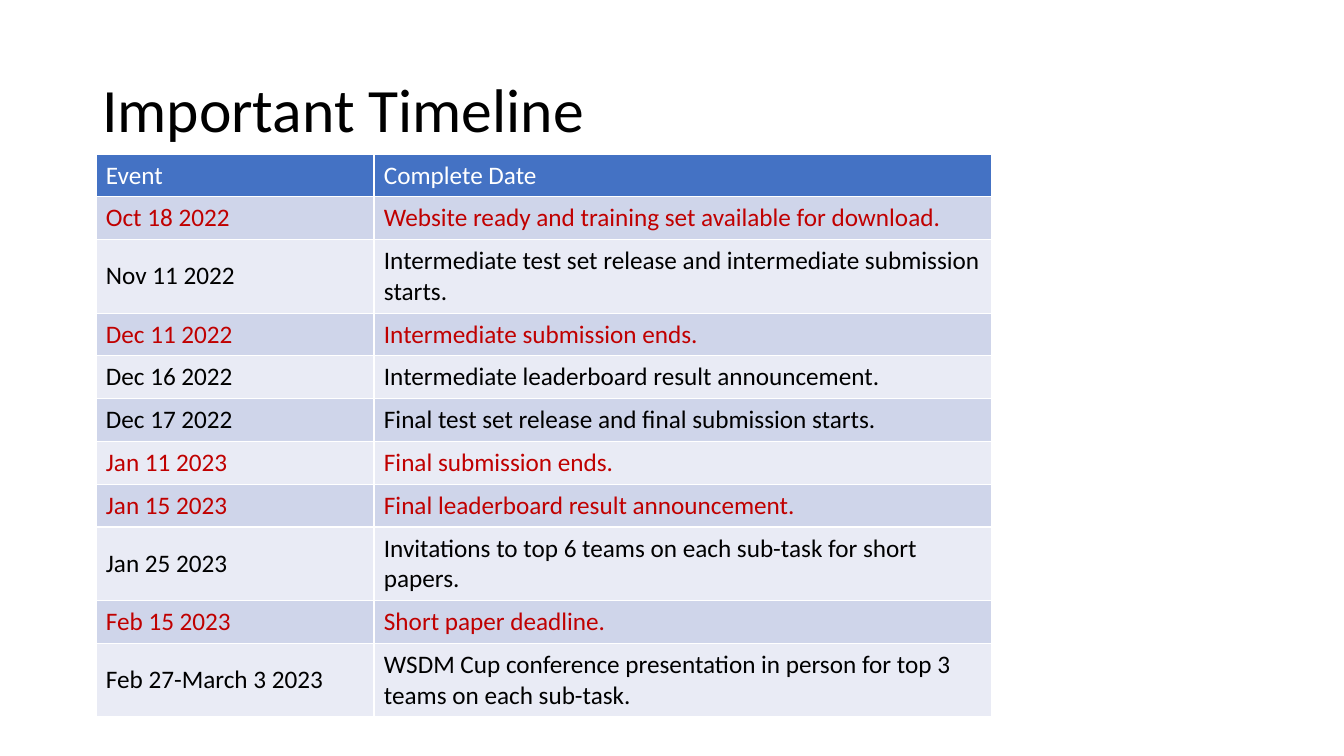
"""Build the Important Timeline slide: a title above a two-column table of dates."""
from pptx import Presentation
from pptx.dml.color import RGBColor
from pptx.enum.text import MSO_ANCHOR, PP_ALIGN
from pptx.util import Emu, Pt

BLACK = RGBColor(0x00, 0x00, 0x00)
WHITE = RGBColor(0xFF, 0xFF, 0xFF)
RED = RGBColor(0xC0, 0x00, 0x00)
HEADER_BLUE = RGBColor(0x44, 0x72, 0xC4)
DARK_BAND = RGBColor(0xCF, 0xD5, 0xEA)
LIGHT_BAND = RGBColor(0xE9, 0xEB, 0xF5)

FONT = "Calibri"
TITLE = "Important Timeline"
HEADER = ("Event", "Complete Date", WHITE)
EVENTS = [
    ("Oct 18 2022", "Website ready and training set available for download.", RED),
    ("Nov 11 2022", "Intermediate test set release and intermediate submission starts.", BLACK),
    ("Dec 11 2022", "Intermediate submission ends.", RED),
    ("Dec 16 2022", "Intermediate leaderboard result announcement.", BLACK),
    ("Dec 17 2022", "Final test set release and final submission starts.", BLACK),
    ("Jan 11 2023", "Final submission ends.", RED),
    ("Jan 15 2023", "Final leaderboard result announcement.", RED),
    ("Jan 25 2023", "Invitations to top 6 teams on each sub-task for short papers.", BLACK),
    ("Feb 15 2023", "Short paper deadline.", RED),
    ("Feb 27-March 3 2023",
     "WSDM Cup conference presentation in person for top 3 teams on each sub-task.", BLACK),
]

SLIDE_SIZE = (1344, 756)
TITLE_BOX = (92, 40, 1159, 146)
TABLE_ORIGIN = (96, 154)
COLUMN_WIDTHS = (278, 618)
ROW_HEIGHT = 41
CELL_INSETS = (10, 5)


def px(length):
    return Emu(round(length * 914400 / 100.8))


def add_text(paragraph, text, size, color):
    run = paragraph.add_run()
    run.text = text
    run.font.name = FONT
    run.font.size = Pt(size)
    run.font.bold = False
    run.font.color.rgb = color


def add_title(slide):
    title = slide.shapes.title
    title.left, title.top, title.width, title.height = map(px, TITLE_BOX)
    title.text_frame.vertical_anchor = MSO_ANCHOR.MIDDLE
    paragraph = title.text_frame.paragraphs[0]
    paragraph.alignment = PP_ALIGN.LEFT
    paragraph.line_spacing = 0.9
    add_text(paragraph, TITLE, 44, BLACK)


def fill_cell(cell, text, color, fill):
    cell.fill.solid()
    cell.fill.fore_color.rgb = fill
    cell.vertical_anchor = MSO_ANCHOR.MIDDLE
    cell.margin_left = cell.margin_right = px(CELL_INSETS[0])
    cell.margin_top = cell.margin_bottom = px(CELL_INSETS[1] + 1)
    add_text(cell.text_frame.paragraphs[0], text, 18, color)


def add_timeline(slide):
    rows = [HEADER, *EVENTS]
    size = (sum(COLUMN_WIDTHS), ROW_HEIGHT * len(rows))
    table = slide.shapes.add_table(
        len(rows), len(COLUMN_WIDTHS), *map(px, TABLE_ORIGIN + size)).table
    for column, width in zip(table.columns, COLUMN_WIDTHS):
        column.width = px(width)
    for index, (*texts, color) in enumerate(rows):
        table.rows[index].height = px(ROW_HEIGHT)
        band = DARK_BAND if index % 2 else LIGHT_BAND
        fill = band if index else HEADER_BLUE
        for column, text in enumerate(texts):
            fill_cell(table.cell(index, column), text, color, fill)


def main():
    presentation = Presentation()
    presentation.slide_width, presentation.slide_height = map(px, SLIDE_SIZE)
    slide = presentation.slides.add_slide(presentation.slide_layouts[5])
    add_title(slide)
    add_timeline(slide)
    presentation.save("out.pptx")


if __name__ == "__main__":
    main()
